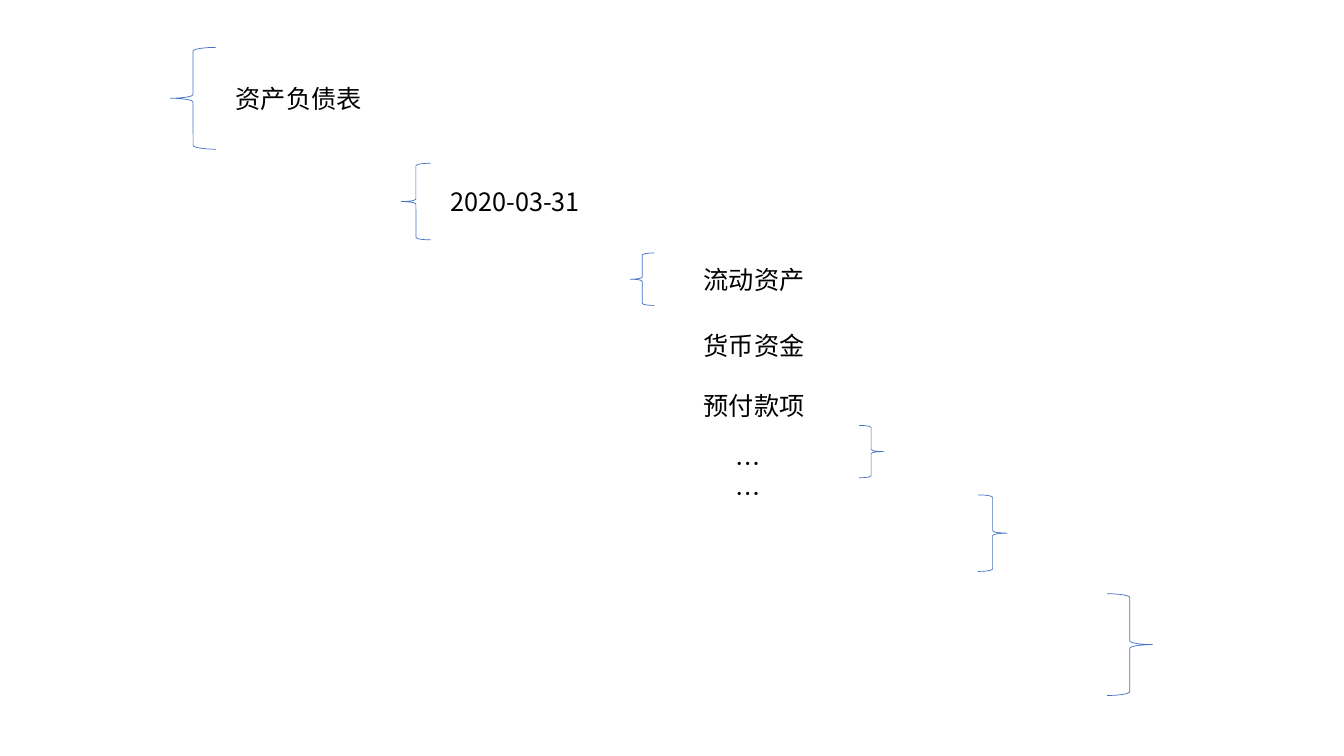
from pptx import Presentation
from pptx.dml.color import RGBColor
from pptx.enum.shapes import MSO_SHAPE
from pptx.enum.text import MSO_ANCHOR, MSO_AUTO_SIZE
from pptx.oxml.ns import qn
from pptx.util import Inches, Pt
from lxml.etree import SubElement

FONT = "Noto Sans CJK SC"
BLUE, BLACK = "4472C4", "000000"


def paint(color):
    return RGBColor.from_string(color)


def write(slide, text, box, size=18, color=BLACK, wrap=False):
    frame = slide.shapes.add_textbox(*map(Inches, box)).text_frame
    frame.word_wrap = wrap
    frame.auto_size = MSO_AUTO_SIZE.SHAPE_TO_FIT_TEXT
    frame.vertical_anchor = MSO_ANCHOR.TOP
    run = frame.paragraphs[0].add_run()
    run.text = text
    run.font.size = Pt(size)
    run.font.name = FONT
    run.font.color.rgb = paint(color)
    # East Asian glyphs need their own typeface entry
    SubElement(run.font._element, qn("a:ea"), typeface=FONT)


def brace(slide, kind, box):
    shape = slide.shapes.add_shape(kind, *map(Inches, box))
    shape.shadow.inherit = False
    shape.fill.background()
    shape.line.color.rgb = paint(BLUE)
    shape.line.width = Pt(0.5)


def level(slide, box, size, close):
    """Open a nesting level at the box corner and close it at an offset."""
    left, top = box
    right, low = close
    brace(slide, MSO_SHAPE.LEFT_BRACE, (left, top, *size))
    brace(slide, MSO_SHAPE.RIGHT_BRACE, (left + right, top + low, *size))


def items(slide, box):
    """List the account names down the box, then the ellipsis."""
    left, top, width, height = box
    rows = [("流动资产", 0), ("货币资金", 0.66), ("预付款项", 1.25)]
    for name, drop in rows:
        write(slide, name, (left, top + drop, width, height))
    write(slide, "……", (left + 0.32, top + 1.83, 0.56, height), wrap=True)


deck = Presentation()
deck.slide_width, deck.slide_height = Inches(13.33), Inches(7.5)
slide = deck.slides.add_slide(deck.slide_layouts[6])

# Nested brace pairs, outermost first
level(slide, (1.69, 0.47), (0.45, 1.01), (9.29, 5.42))
level(slide, (3.98, 1.62), (0.29, 0.76), (5.72, 3.29))
level(slide, (6.25, 2.51), (0.24, 0.52), (2.27, 1.71))

# Labels of the levels
write(slide, "资产负债表", (2.24, 0.78, 1.52, 0.4))
write(slide, "2020-03-31", (4.37, 1.8, 1.52, 0.4))
items(slide, (6.88, 2.57, 1.21, 0.4))

deck.save("out.pptx")
